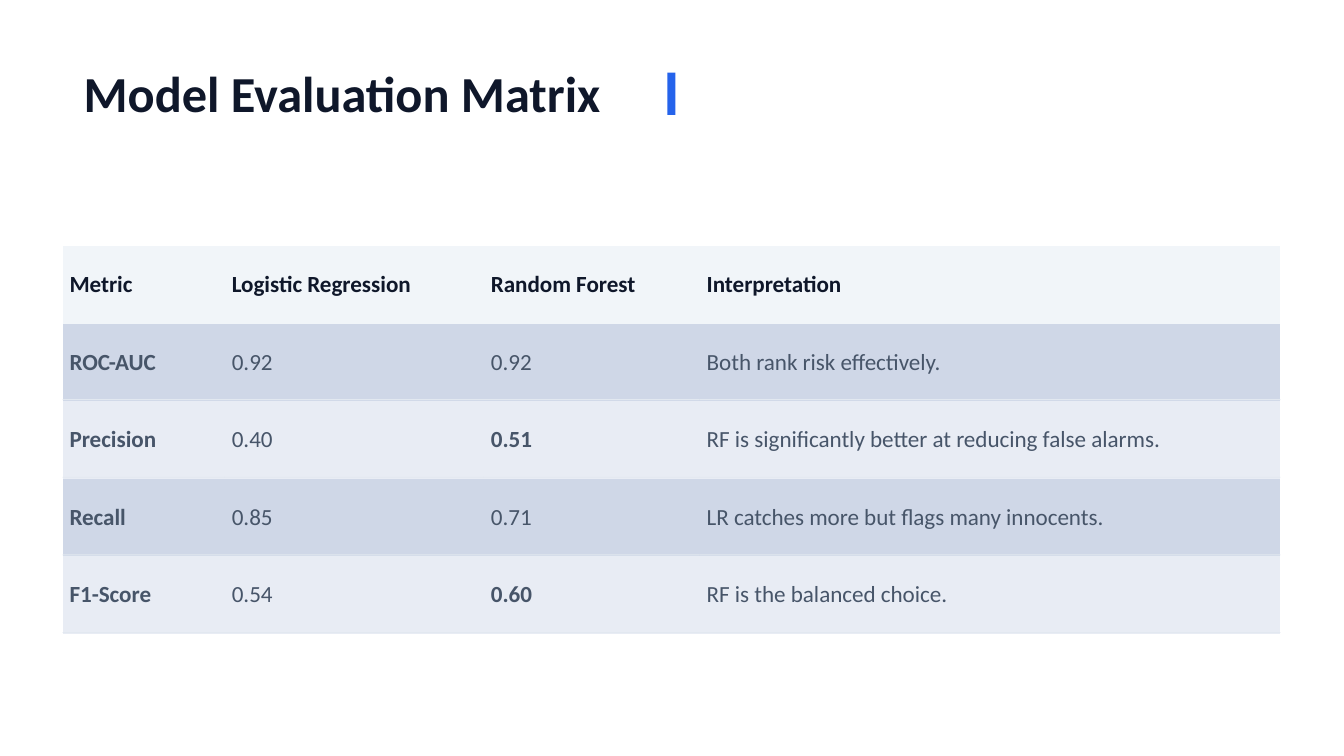
from dataclasses import dataclass
from itertools import accumulate

from pptx import Presentation
from pptx.dml.color import RGBColor
from pptx.enum.shapes import MSO_SHAPE
from pptx.enum.text import MSO_ANCHOR, MSO_AUTO_SIZE, PP_ALIGN
from pptx.oxml.ns import qn
from pptx.slide import Slide
from pptx.table import Table
from pptx.text.text import TextFrame
from pptx.util import Inches, Pt

NAVY = RGBColor(0x0F, 0x17, 0x2A)
SLATE = RGBColor(0x47, 0x55, 0x69)
BLUE = RGBColor(0x25, 0x63, 0xEB)
HEADER_FILL = RGBColor(0xF1, 0xF5, 0xF9)
DARK_BAND = RGBColor(0xCF, 0xD7, 0xE7)
LIGHT_BAND = RGBColor(0xE8, 0xEC, 0xF4)
RULE_COLOR = RGBColor(0xE2, 0xE8, 0xF0)

FONT = "Calibri"
PLAIN_TABLE_STYLE = "{2D5ABB26-0587-4C30-8999-92F81FD0307C}"
TABLE_LEFT, TABLE_TOP = 0.62, 2.44
COLUMN_WIDTHS = [1.61, 2.57, 2.14, 5.76]
ROW_HEIGHT = 0.77
FIRST_RULE_TOP, RULE_HEIGHT = 3.96, 0.01
CELL_FORMAT = {
    "margin_left": Inches(0.07),
    "margin_right": Inches(0.07),
    "margin_top": Inches(0.03),
    "margin_bottom": Inches(0.03),
    "vertical_anchor": MSO_ANCHOR.MIDDLE,
}
TITLE_FORMAT = {
    "margin_left": 0,
    "margin_right": 0,
    "margin_top": 0,
    "margin_bottom": 0,
    "vertical_anchor": MSO_ANCHOR.TOP,
    "auto_size": MSO_AUTO_SIZE.SHAPE_TO_FIT_TEXT,
    "word_wrap": True,
}


@dataclass
class MetricRow:
    metric: str
    logistic_regression: str
    random_forest: str
    interpretation: str
    forest_wins: bool = False

    def texts(self) -> list[str]:
        return [self.metric, self.logistic_regression, self.random_forest, self.interpretation]


HEADER = MetricRow("Metric", "Logistic Regression", "Random Forest", "Interpretation")
METRICS = [
    MetricRow("ROC-AUC", "0.92", "0.92", "Both rank risk effectively."),
    MetricRow("Precision", "0.40", "0.51", "RF is significantly better at reducing false alarms.", True),
    MetricRow("Recall", "0.85", "0.71", "LR catches more but flags many innocents."),
    MetricRow("F1-Score", "0.54", "0.60", "RF is the balanced choice.", True),
]


def apply_format(target: object, values: dict) -> None:
    for name, value in values.items():
        setattr(target, name, value)


def write_text(text_frame: TextFrame, text: str, size: float, color: RGBColor, bold: bool) -> None:
    paragraph = text_frame.paragraphs[0]
    paragraph.alignment = PP_ALIGN.LEFT
    run = paragraph.add_run()
    run.text = text
    apply_format(run.font, {"name": FONT, "size": Pt(size), "bold": bold})
    run.font.color.rgb = color


def add_bar(slide: Slide, left: float, top: float, width: float, height: float, color: RGBColor) -> None:
    bar = slide.shapes.add_shape(
        MSO_SHAPE.RECTANGLE, Inches(left), Inches(top), Inches(width), Inches(height)
    )
    bar.shadow.inherit = False
    bar.fill.solid()
    bar.fill.fore_color.rgb = color
    bar.line.fill.background()


def add_title(slide: Slide, text: str) -> None:
    title = slide.shapes.title
    apply_format(title, {"left": Inches(0.83), "top": Inches(0.62),
                         "width": Inches(12.47), "height": Inches(0.6)})
    apply_format(title.text_frame, TITLE_FORMAT)
    write_text(title.text_frame, text, 36, NAVY, True)


def fill_row(table: Table, row_index: int, row: MetricRow) -> None:
    is_header = row_index == 0
    band = HEADER_FILL if is_header else DARK_BAND if row_index % 2 else LIGHT_BAND
    for column_index, text in enumerate(row.texts()):
        cell = table.cell(row_index, column_index)
        apply_format(cell, CELL_FORMAT)
        cell.fill.solid()
        cell.fill.fore_color.rgb = band
        bold = is_header or column_index == 0 or (column_index == 2 and row.forest_wins)
        write_text(cell.text_frame, text, 16.5, NAVY if is_header else SLATE, bold)


def add_metric_table(slide: Slide) -> None:
    rows = [HEADER, *METRICS]
    frame = slide.shapes.add_table(
        len(rows), len(COLUMN_WIDTHS), Inches(TABLE_LEFT), Inches(TABLE_TOP),
        Inches(sum(COLUMN_WIDTHS)), Inches(ROW_HEIGHT * len(rows)),
    )
    table = frame.table
    # Plain style without borders
    frame.element.find(".//" + qn("a:tableStyleId")).text = PLAIN_TABLE_STYLE
    for column, width in zip(table.columns, COLUMN_WIDTHS):
        column.width = Inches(width)
    for row_index, row in enumerate(rows):
        table.rows[row_index].height = Inches(ROW_HEIGHT)
        fill_row(table, row_index, row)


def add_row_rules(slide: Slide) -> None:
    column_lefts = accumulate(COLUMN_WIDTHS[:-1], initial=TABLE_LEFT)
    columns = list(zip(column_lefts, COLUMN_WIDTHS))
    for row_index in range(len(METRICS)):
        top = FIRST_RULE_TOP + row_index * ROW_HEIGHT
        for left, width in columns:
            add_bar(slide, left, top, width, RULE_HEIGHT, RULE_COLOR)


def main() -> None:
    presentation = Presentation()
    presentation.slide_width = Inches(13.33)
    presentation.slide_height = Inches(7.5)
    slide = presentation.slides.add_slide(presentation.slide_layouts.get_by_name("Title Only"))

    # Title with accent bar
    add_title(slide, "Model Evaluation Matrix")
    add_bar(slide, 6.62, 0.72, 0.08, 0.42, BLUE)

    # Metrics and the rules under each row
    add_metric_table(slide)
    add_row_rules(slide)

    presentation.save("out.pptx")


if __name__ == "__main__":
    main()
